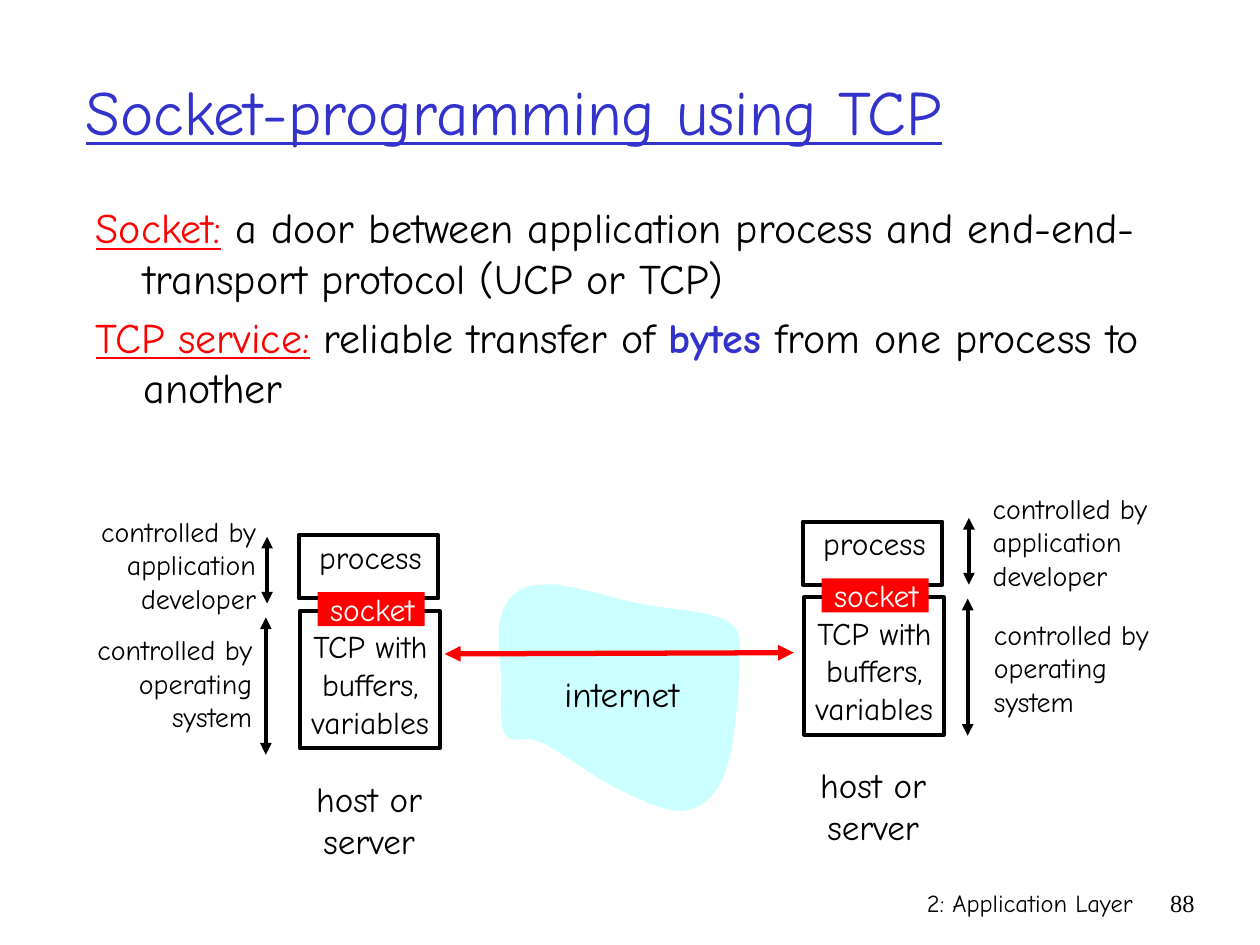
from lxml.etree import SubElement
from pptx import Presentation
from pptx.dml.color import RGBColor
from pptx.enum.shapes import MSO_CONNECTOR, MSO_SHAPE
from pptx.enum.text import MSO_ANCHOR, MSO_AUTO_SIZE, PP_ALIGN
from pptx.oxml.ns import qn
from pptx.util import Inches, Pt

COLORS = {
    "ink": "000000",
    "paper": "FFFFFF",
    "blue": "3333CC",
    "red": "FF0000",
    "cloud": "CCFFFF",
}
FONT = "Comic Neue"
NUMBER_FONT = "Times New Roman"

CLOUD_START = (4.3, 4.64)
CLOUD_CURVES = [
    [(4.12, 4.65), (4.04, 4.73), (3.99, 4.85)],
    [(3.93, 4.98), (3.97, 5.22), (3.98, 5.39)],
    [(3.98, 5.55), (3.96, 5.75), (4.01, 5.83)],
    [(4.07, 5.92), (4.16, 5.82), (4.31, 5.9)],
    [(4.46, 5.97), (4.73, 6.18), (4.92, 6.27)],
    [(5.11, 6.36), (5.31, 6.46), (5.45, 6.43)],
    [(5.59, 6.4), (5.69, 6.31), (5.76, 6.12)],
    [(5.83, 5.92), (5.87, 5.47), (5.87, 5.27)],
    [(5.87, 5.08), (5.9, 5.01), (5.77, 4.93)],
    [(5.64, 4.85), (5.32, 4.84), (5.07, 4.79)],
    [(4.83, 4.74), (4.48, 4.62), CLOUD_START],
]


def rgb(name):
    """Return the named palette colour."""
    return RGBColor.from_string(COLORS[name])


def style_font(font, size, color="ink", face=FONT):
    """Set face, size and colour of a font."""
    font.name = face
    font.size = Pt(size)
    font.color.rgb = rgb(color)


def add_label(slide, box, lines, size, align=PP_ALIGN.CENTER, color="ink",
              face=FONT, anchor=MSO_ANCHOR.MIDDLE):
    """Place unwrapped lines of text in a box."""
    label = slide.shapes.add_textbox(*map(Inches, box))
    frame = label.text_frame
    frame.word_wrap = False
    frame.auto_size = MSO_AUTO_SIZE.NONE
    frame.vertical_anchor = anchor
    frame.text = "\n".join(lines)
    for paragraph in frame.paragraphs:
        paragraph.alignment = align
        style_font(paragraph.font, size, color, face)


def add_rect(slide, box, fill=None, outlined=True):
    """Draw a rectangle with an optional fill and outline."""
    rect = slide.shapes.add_shape(MSO_SHAPE.RECTANGLE, *map(Inches, box))
    rect.shadow.inherit = False
    if fill:
        rect.fill.solid()
        rect.fill.fore_color.rgb = rgb(fill)
    else:
        rect.fill.background()
    if outlined:
        rect.line.color.rgb = rgb("ink")
        rect.line.width = Pt(2.25)
    else:
        rect.line.fill.background()


def add_double_arrow(slide, start, end, color="ink", width=2.25):
    """Draw a straight line with an arrowhead at each end."""
    arrow = slide.shapes.add_connector(
        MSO_CONNECTOR.STRAIGHT, *map(Inches, (*start, *end)))
    arrow.line.color.rgb = rgb(color)
    arrow.line.width = Pt(width)
    outline = arrow.line._get_or_add_ln()
    for tag in ("a:headEnd", "a:tailEnd"):
        SubElement(outline, qn(tag), type="triangle")
    SubElement(arrow._element.spPr, qn("a:effectLst"))


def place(placeholder, box):
    """Move a placeholder to a box."""
    placeholder.left, placeholder.top, placeholder.width, placeholder.height = map(
        Inches, box)


def fill_title(slide, box):
    """Write the slide title."""
    title = slide.shapes.title
    place(title, box)
    title.text_frame.text = "Socket-programming using TCP"
    title.text_frame.vertical_anchor = MSO_ANCHOR.MIDDLE
    paragraph = title.text_frame.paragraphs[0]
    paragraph.alignment = PP_ALIGN.LEFT
    style_font(paragraph.font, 36, "blue")
    paragraph.font.underline = True


def fill_definitions(slide, box):
    """Write the two definitions with hanging indents."""
    definitions = [
        [("Socket:", "term"),
         (" a door between application process and end-end-transport protocol "
          "(UCP or TCP)", "plain")],
        [("TCP service:", "term"), (" reliable transfer of ", "plain"),
         ("bytes ", "strong"), ("from one process to another", "plain")],
    ]
    body = slide.placeholders[1]
    place(body, box)
    frame = body.text_frame
    frame.auto_size = MSO_AUTO_SIZE.NONE
    for index, definition in enumerate(definitions):
        paragraph = frame.add_paragraph() if index else frame.paragraphs[0]
        properties = paragraph._p.get_or_add_pPr()
        properties.set("marL", str(Inches(0.38)))
        properties.set("indent", str(Inches(-0.38)))
        SubElement(properties, qn("a:buNone"))
        paragraph.space_before = Pt(5 if index else 0)
        style_font(paragraph.font, 24)
        for text, role in definition:
            run = paragraph.add_run()
            run.text = text
            color = {"term": "red", "strong": "blue", "plain": "ink"}[role]
            run.font.color.rgb = rgb(color)
            run.font.underline = role == "term"
            run.font.bold = role == "strong"


def add_host(slide, left, top):
    """Draw a host: process, TCP buffers, the socket between, and a caption."""
    add_rect(slide, (left + 0.01, top, 1.11, 0.5), "paper")
    add_label(slide, (left + 0.03, top - 0.03, 1.1, 0.4), ["process"], 18)
    add_label(slide, (left - 0.04, top + 0.68, 1.24, 1),
              ["TCP with", "buffers,", "variables"], 18)
    add_rect(slide, (left + 0.02, top + 0.6, 1.11, 1.09))
    add_rect(slide, (left + 0.16, top + 0.45, 0.85, 0.27), "red", outlined=False)
    add_label(slide, (left + 0.11, top + 0.38, 0.97, 0.4), ["socket"], 18,
              color="paper")
    add_label(slide, (left, top + 1.87, 1.14, 0.77), ["host or", "server"], 20)


def add_control_notes(slide, arrow_left, arrow_top, note_places, align):
    """Mark who controls the upper and lower part of a host."""
    owners = [["application", "developer"], ["operating", "system"]]
    for (left, top), owner in zip(note_places, owners):
        add_label(slide, (left, top, 1.56, 0.9), ["controlled by", *owner], 16, align)
    for x, start, end in [(arrow_left, 0.53, 0), (arrow_left - 0.01, 1.73, 0.64)]:
        add_double_arrow(slide, (x, arrow_top + start), (x, arrow_top + end))


def add_cloud(slide):
    """Draw the cloud outline as a closed chain of cubic curves."""
    vertices = [tuple(map(Inches, point)) for curve in CLOUD_CURVES for point in curve]
    builder = slide.shapes.build_freeform(*map(Inches, CLOUD_START))
    builder.add_line_segments(vertices, close=True)
    cloud = builder.convert_to_shape()
    segments = list(cloud._element.iter(qn("a:lnTo")))
    for first in range(0, len(vertices), 3):
        curve = segments[first]
        curve.tag = qn("a:cubicBezTo")
        for segment in segments[first + 1:first + 3]:
            curve.append(segment[0])
            segment.getparent().remove(segment)
    cloud.shadow.inherit = False
    cloud.fill.solid()
    cloud.fill.fore_color.rgb = rgb("cloud")
    cloud.line.fill.background()


def add_internet(slide, label_box):
    """Draw the internet cloud and the connection across it."""
    add_cloud(slide)
    add_label(slide, label_box, ["internet"], 20)
    add_double_arrow(slide, (6.3, 5.18), (3.53, 5.19), "red", 3)


def add_footer(slide, top):
    """Write the chapter name and the page number."""
    for left, width, text, face in [(5.92, 3.17, "2: Application Layer", FONT),
                                    (9.08, 0.5, "88", NUMBER_FONT)]:
        add_label(slide, (left, top, width, 0.5), [text], 14, PP_ALIGN.RIGHT,
                  face=face, anchor=MSO_ANCHOR.TOP)


def main():
    """Build the slide and save it."""
    deck = Presentation()
    deck.slide_width, deck.slide_height = Inches(10), Inches(7.5)
    slide = deck.slides.add_slide(deck.slide_layouts[1])
    add_footer(slide, 7)
    fill_title(slide, (0.58, 0.25, 8.5, 1.25))
    fill_definitions(slide, (0.66, 1.55, 8.5, 1.68))
    add_host(slide, 2.36, 4.25)
    add_control_notes(slide, 2.12, 4.26, [(0.57, 4.03), (0.54, 4.97)], PP_ALIGN.RIGHT)
    add_host(slide, 6.36, 4.14)
    add_control_notes(slide, 7.69, 4.11, [(7.78, 3.85), (7.79, 4.85)], PP_ALIGN.LEFT)
    add_internet(slide, (4.3, 5.29, 1.27, 0.43))
    deck.save("out.pptx")


if __name__ == "__main__":
    main()
